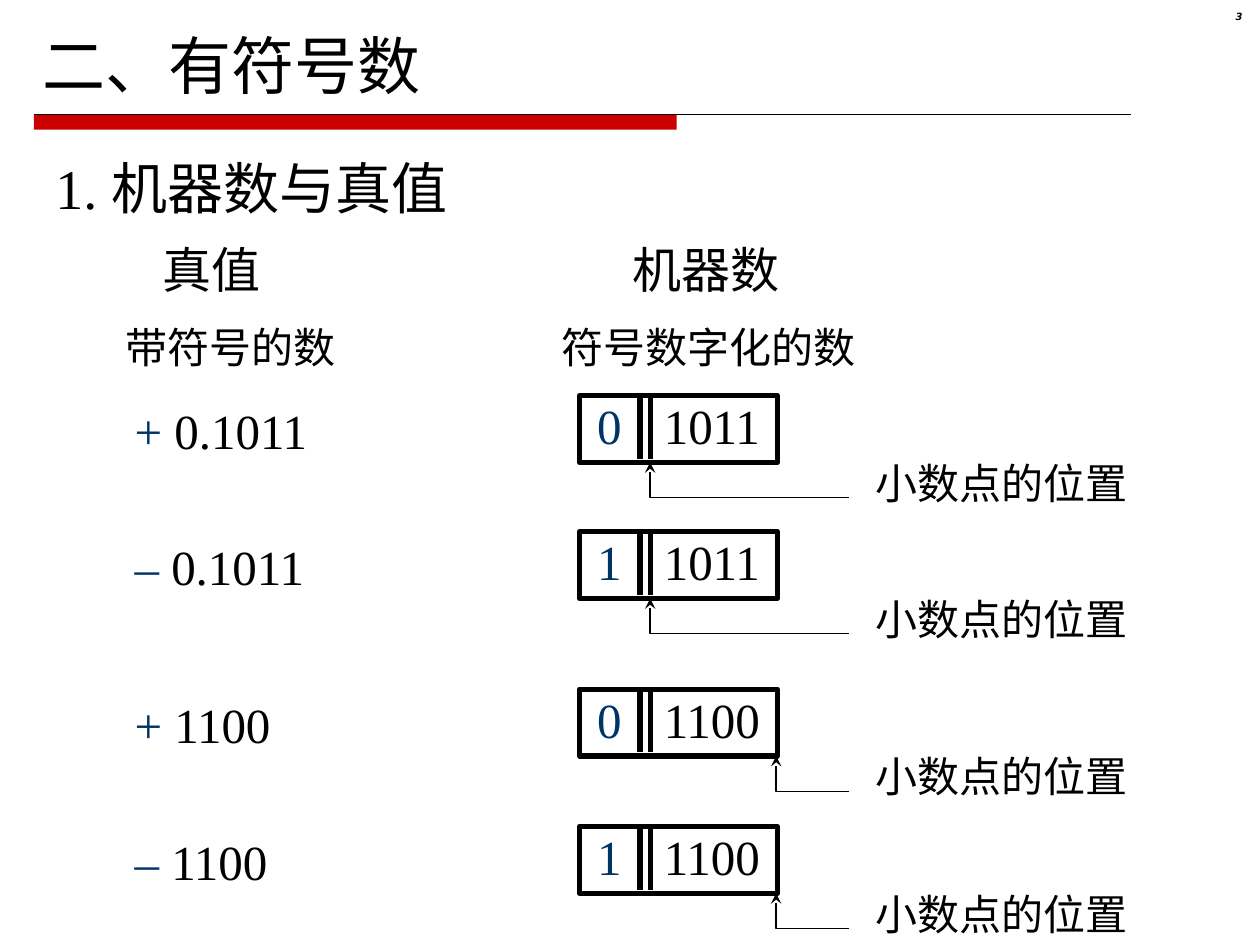
"""Build the slide on signed numbers: true values and their machine codes."""
from lxml import etree
from pptx import Presentation
from pptx.dml.color import RGBColor
from pptx.enum.shapes import MSO_CONNECTOR, MSO_SHAPE
from pptx.enum.text import PP_ALIGN
from pptx.oxml.ns import qn
from pptx.util import Inches, Pt

STRAIGHT = MSO_CONNECTOR.STRAIGHT
RECTANGLE = MSO_SHAPE.RECTANGLE
RIGHT = PP_ALIGN.RIGHT

COLORS = {"ink": "000000", "sign": "003366", "band": "CC0000"}
BODY_FONT = "Times New Roman"
REGISTER_LEFT, REGISTER_WIDTH, REGISTER_HEIGHT = 4.6, 1.57, 0.53
POINT_X = 5.16
REGISTER_END = 6.16
CALLOUT_X = 6.74


def color(name):
    return RGBColor.from_string(COLORS[name])


def add_text(slide, left, top, width, height, runs, size, tab=None, **font_format):
    """Add one line of text from (text, colour) runs, with an optional tab stop."""
    box = slide.shapes.add_textbox(Inches(left), Inches(top), Inches(width), Inches(height))
    box.text_frame.word_wrap = tab is not None
    paragraph = box.text_frame.paragraphs[0]
    if tab is not None:
        tab_list = etree.SubElement(paragraph._p.get_or_add_pPr(), qn("a:tabLst"))
        etree.SubElement(tab_list, qn("a:tab"), pos=str(Inches(tab)), algn="l")
    values = {"name": BODY_FONT, "size": Pt(size), **font_format}
    for words, tint in runs:
        run = paragraph.add_run()
        run.text = words
        for attribute, value in values.items():
            setattr(run.font, attribute, value)
        run.font.color.rgb = color(tint)
    return paragraph


def add_line(slide, x1, y1, x2, y2, weight):
    """Add a straight black line."""
    line = slide.shapes.add_connector(STRAIGHT, Inches(x1), Inches(y1), Inches(x2), Inches(y2))
    line.line.color.rgb = color("ink")
    line.line.width = Pt(weight)
    etree.SubElement(line._element.spPr, qn("a:effectLst"))


def add_rectangle(slide, left, top, width, height, fill=None):
    """Add a filled band, or an open box with a heavy outline."""
    rectangle = slide.shapes.add_shape(
        RECTANGLE, Inches(left), Inches(top), Inches(width), Inches(height))
    rectangle.shadow.inherit = False
    if fill:
        rectangle.fill.solid()
        rectangle.fill.fore_color.rgb = color(fill)
        rectangle.line.fill.background()
    else:
        rectangle.fill.background()
        rectangle.line.color.rgb = color("ink")
        rectangle.line.width = Pt(3)


def add_point_arrow(slide, x, top):
    """Add a bent arrow from the callout up to the radix point."""
    base = top + 0.28
    builder = slide.shapes.build_freeform(Inches(CALLOUT_X), Inches(base))
    builder.add_line_segments(
        [(Inches(x), Inches(base)), (Inches(x), Inches(top))], close=False)
    arrow = builder.convert_to_shape()
    arrow.shadow.inherit = False
    arrow.fill.background()
    arrow.line.color.rgb = color("ink")
    arrow.line.width = Pt(0.75)
    etree.SubElement(arrow.line._get_or_add_ln(), qn("a:tailEnd"), type="stealth")


def add_example(slide, top, sign, magnitude, sign_bit, digits, point_x):
    """Add a true value, its machine register and the radix point callout."""
    add_text(slide, 0.97, top - 0.01, 1.58, 0.57,
             [(sign, "sign"), (f" {magnitude}", "ink")], 28)
    add_text(slide, 4.64, top - 0.05, 2.15, 0.57,
             [(sign_bit, "sign"), (f"\t{digits}", "ink")], 28, tab=0.53)
    add_rectangle(slide, REGISTER_LEFT, top, REGISTER_WIDTH, REGISTER_HEIGHT)
    for divider_x in (POINT_X - 0.08, POINT_X):
        add_line(slide, divider_x, top, divider_x, top + 0.5, 3)
    add_point_arrow(slide, point_x, top + REGISTER_HEIGHT)
    add_text(slide, 6.85, top + 0.44, 2.2, 0.5, [("小数点的位置", "ink")], 24)


def main():
    presentation = Presentation()
    presentation.slide_width, presentation.slide_height = Inches(10), Inches(7.5)
    slide = presentation.slides.add_slide(presentation.slide_layouts[6])

    add_rectangle(slide, 0.27, 0.91, 5.1, 0.12, "band")
    add_line(slide, 0.27, 0.91, 8.98, 0.91, 0.75)
    page_number = add_text(slide, 9.37, 0.05, 0.59, 0.23, [("3", "ink")], 5.7,
                           name="DejaVu Sans", bold=True, italic=True)
    page_number.alignment = RIGHT
    page_number.line_spacing = 0.8

    headings = [
        (0.24, 0.16, 3.2, 0.7, "二、有符号数", 36, None),
        (0.34, 1.17, 3.42, 0.64, "1. 机器数与真值", 32, None),
        (1.19, 1.85, 5.4, 0.57, "真值\t机器数", 28, 3.73),
        (0.9, 2.5, 6.2, 0.5, "带符号的数\t符号数字化的数", 24, 3.46),
    ]
    for left, top, width, height, words, size, tab in headings:
        add_text(slide, left, top, width, height, [(words, "ink")], size, tab)

    examples = [
        (3.14, "+", "0.1011", "0", "1011", POINT_X),
        (4.22, "–", "0.1011", "1", "1011", POINT_X),
        (5.47, "+", "1100", "0", "1100", REGISTER_END),
        (6.56, "–", "1100", "1", "1100", REGISTER_END),
    ]
    for example in examples:
        add_example(slide, *example)

    presentation.save("out.pptx")


if __name__ == "__main__":
    main()
